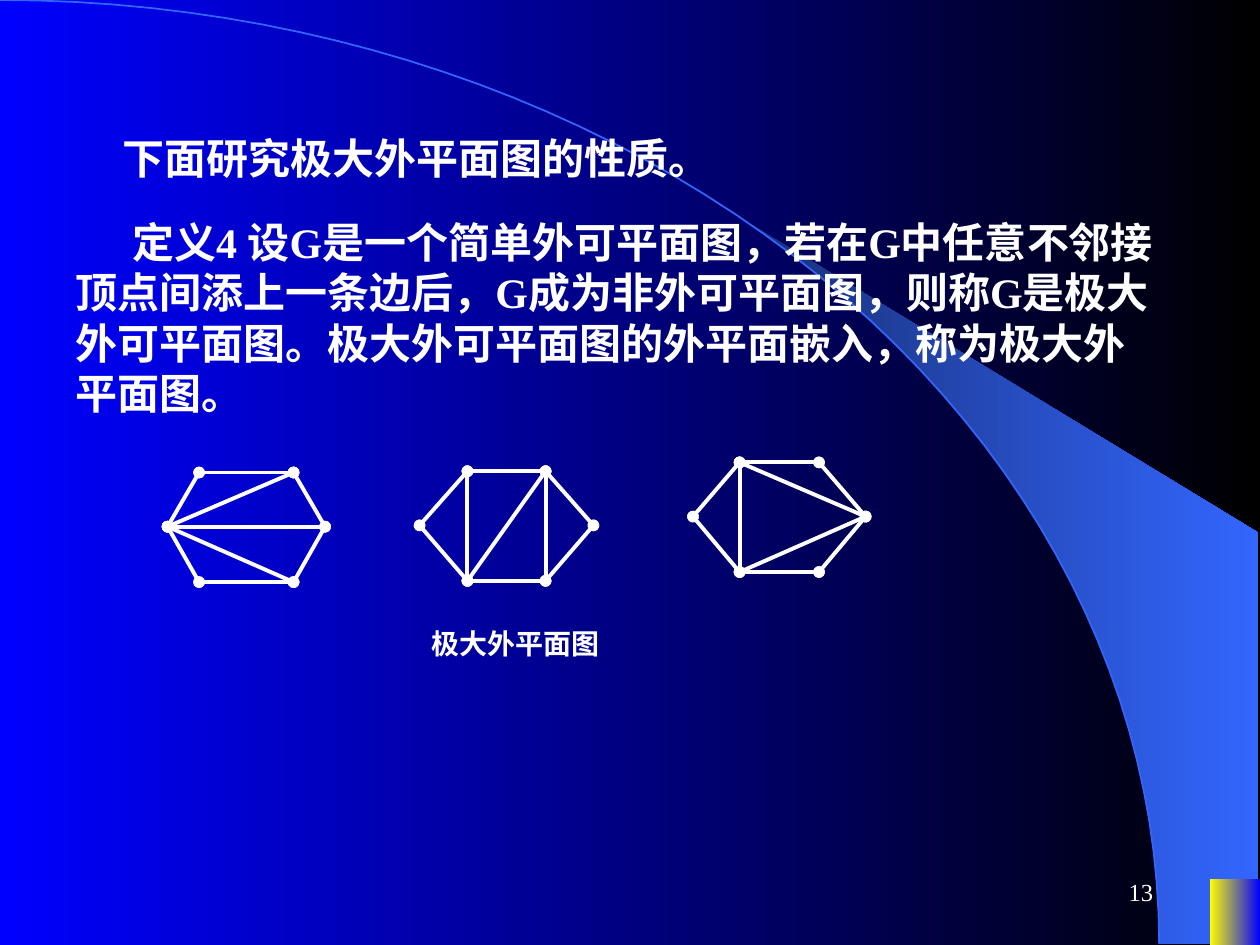
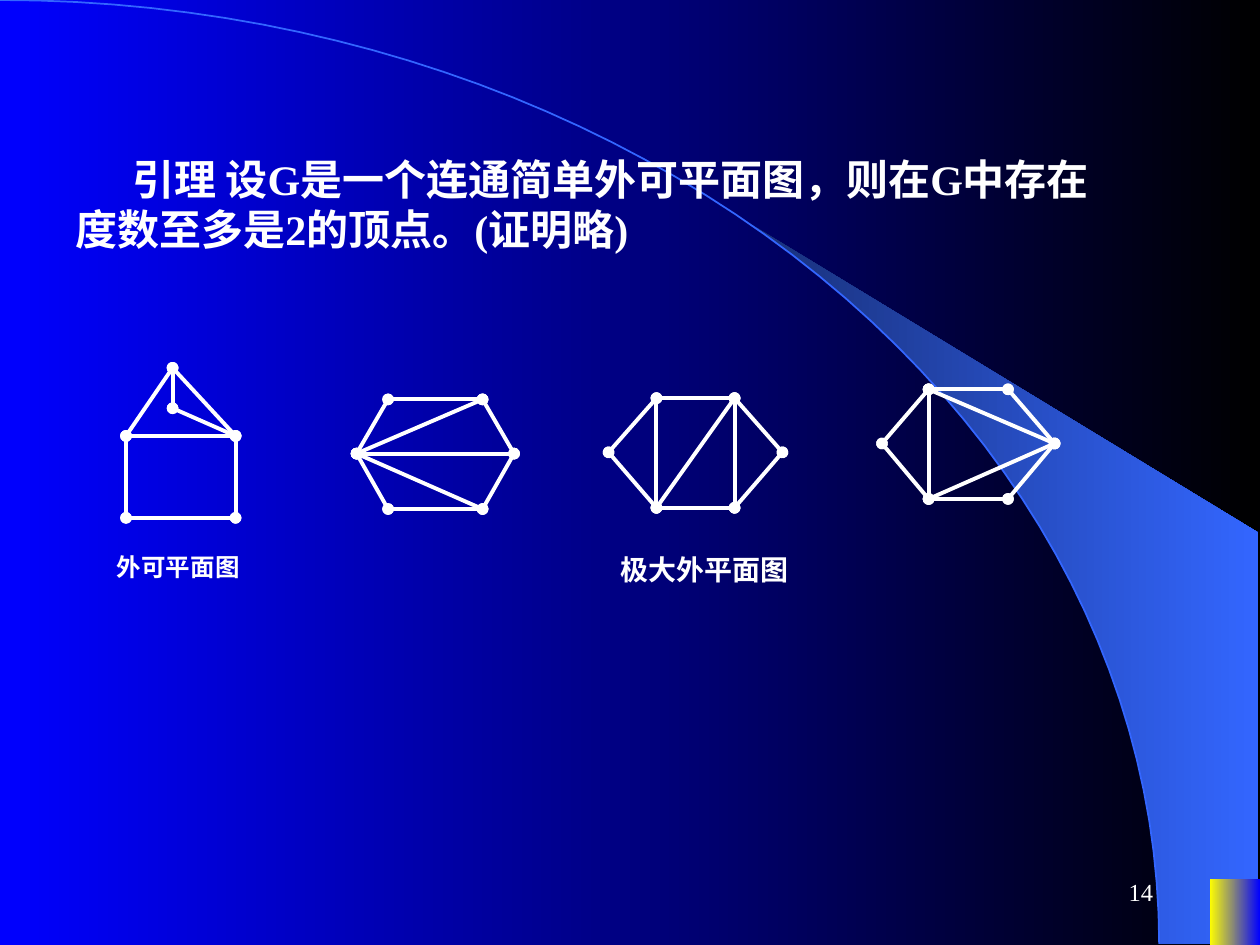
"""Build two slides on maximal outerplanar graphs."""
from dataclasses import dataclass
from math import asin, cos, pi, sin

from lxml import etree
from pptx import Presentation
from pptx.dml.color import RGBColor
from pptx.enum.shapes import MSO_CONNECTOR, MSO_SHAPE
from pptx.enum.text import MSO_ANCHOR, PP_ALIGN
from pptx.oxml.ns import qn
from pptx.util import Inches, Pt

STRAIGHT = MSO_CONNECTOR.STRAIGHT
RECT = MSO_SHAPE.RECTANGLE
MIDDLE = MSO_ANCHOR.MIDDLE
TOP = MSO_ANCHOR.TOP
LEFT = PP_ALIGN.LEFT
RIGHT = PP_ALIGN.RIGHT
BLANK = 6

ARC_W, ARC_H, ARC_STEPS = 9.2, 7.49, 48
SHEEN_START = asin(5.89 / ARC_W)
SHEEN_CORNERS = [(9.99, ARC_H), (9.99, 4.23)]

HEXAGON_RING = [("L", "TL"), ("TL", "TR"), ("TR", "R"), ("R", "BR"), ("BR", "BL"), ("BL", "L")]
MAXIMAL_GRAPHS = [
    (0, 0.08, 0.25, [("L", "TR"), ("L", "R"), ("L", "BR")]),
    (2, 0.07, 0.38, [("TL", "BL"), ("TR", "BR"), ("TR", "BL")]),
    (4.17, 0, 0.37, [("TL", "BL"), ("TL", "R"), ("R", "BL")]),
]
HOUSE_POINTS = {
    "roof": (1.37, 2.92), "inner": (1.37, 3.24), "TL": (1, 3.46),
    "TR": (1.87, 3.46), "BL": (1, 4.11), "BR": (1.87, 4.11),
}
HOUSE_EDGES = [
    ("roof", "TL"), ("TL", "TR"), ("BL", "BR"), ("TL", "BL"), ("TR", "BR"),
    ("roof", "TR"), ("roof", "inner"), ("inner", "TR"),
]


@dataclass(frozen=True)
class Theme:
    """Colours, font and sizes shared by the slides."""

    backdrop: tuple = ("0000FF", "000000")
    sheen: tuple = ("182F76", "3366FF")
    badge: tuple = ("FFFF00", "0000FF")
    arc: str = "3366FF"
    ink: str = "FFFFFF"
    font: str = "Times New Roman"
    body: int = 24
    caption: int = 16
    small: int = 14
    space_before: int = 15
    indent: float = 0.45
    arc_width: float = 1
    edge_width: float = 2.25


def arc_points(start):
    """Return points along the quarter ellipse from an angle to its end."""
    angles = [start + (pi / 2 - start) * i / ARC_STEPS for i in range(ARC_STEPS + 1)]
    return [(ARC_W * sin(a), ARC_H * (1 - cos(a))) for a in angles]


class Deck:
    """Hold the theme, the presentation and the current slide."""

    def __init__(self, theme):
        """Start an empty presentation."""
        self.theme = theme
        self.prs = Presentation()
        self.prs.slide_width, self.prs.slide_height = Inches(10), Inches(7.5)
        self.s = None

    def slide(self, number):
        """Add a slide with the shared backdrop and its number."""
        t = self.theme
        self.s = self.prs.slides.add_slide(self.prs.slide_layouts[BLANK])
        self.gradient(self.s.background.fill, t.backdrop)
        sheen = self.outline(arc_points(SHEEN_START) + SHEEN_CORNERS, True)
        self.gradient(sheen.fill, t.sheen)
        sheen.line.fill.background()
        arc = self.outline(arc_points(0), False)
        arc.fill.background()
        self.stroke(arc.line, t.arc, t.arc_width)
        badge = self.s.shapes.add_shape(RECT, *map(Inches, (9.6, 6.98, 0.4, 0.52)))
        badge.shadow.inherit = False
        self.gradient(badge.fill, t.badge)
        badge.line.fill.background()
        self.text(str(number), (7.17, 6.83, 2.08, 0.5), t.small, bold=False, align=RIGHT, anchor=MIDDLE)

    def gradient(self, fill, colors):
        """Fill with a left to right gradient."""
        fill.gradient()
        fill.gradient_angle = 0
        for position, (stop, color) in enumerate(zip(fill.gradient_stops, colors)):
            stop.position = position
            stop.color.rgb = RGBColor.from_string(color)

    def stroke(self, line, color, width):
        """Set the colour and width of a line."""
        line.color.rgb = RGBColor.from_string(color)
        line.width = Pt(width)

    def outline(self, points, close):
        """Add a freeform through points given in inches."""
        start, *rest = [(Inches(x), Inches(y)) for x, y in points]
        builder = self.s.shapes.build_freeform(*start)
        builder.add_line_segments(rest, close=close)
        sp = builder.convert_to_shape()
        sp.shadow.inherit = False
        return sp

    def text(self, words, box, size, bold=True, align=LEFT, anchor=TOP, before=0, indent=0):
        """Add a wrapped one-paragraph text box."""
        tf = self.s.shapes.add_textbox(*map(Inches, box)).text_frame
        p = tf.paragraphs[0]
        r = p.add_run()
        r.text = words
        formats = {
            tf: {"word_wrap": True, "vertical_anchor": anchor},
            p: {"alignment": align, "space_before": Pt(before)},
            r.font: {"name": self.theme.font, "size": Pt(size), "bold": bold},
        }
        for target, values in formats.items():
            for name, value in values.items():
                setattr(target, name, value)
        r.font.color.rgb = RGBColor.from_string(self.theme.ink)
        p._p.get_or_add_pPr().set("indent", str(Inches(indent)))

    def body(self, words, box):
        """Add a bold paragraph with an indented first line."""
        t = self.theme
        self.text(words, box, t.body, before=t.space_before, indent=t.indent)

    def edge(self, start, end):
        """Join two points by a line with a round vertex at each end."""
        cx = self.s.shapes.add_connector(STRAIGHT, *map(Inches, (*start, *end)))
        self.stroke(cx.line, self.theme.ink, self.theme.edge_width)
        ln = cx.line._get_or_add_ln()
        for tag in ("a:headEnd", "a:tailEnd"):
            etree.SubElement(ln, qn(tag), type="oval")
        etree.SubElement(cx._element.spPr, qn("a:effectLst"))

    def graph(self, points, edges):
        """Draw the edges between named points."""
        for a, b in edges:
            self.edge(points[a], points[b])

    def hexagon(self, x, y, inset, chords):
        """Draw a hexagon with chords from its top left corner."""
        right, middle, bottom = x + 1, y + 0.43, y + 0.87
        points = {
            "L": (x, middle), "TL": (x + inset, y), "TR": (right, y),
            "R": (right + inset, middle), "BR": (right, bottom), "BL": (x + inset, bottom),
        }
        self.graph(points, HEXAGON_RING + chords)

    def maximal_graphs(self, x, y):
        """Draw the three maximal outerplanar graphs and their caption."""
        for dx, dy, inset, chords in MAXIMAL_GRAPHS:
            self.hexagon(x + dx, y + dy, inset, chords)
        self.text("极大外平面图", (x + 2, y + 1.25, 2.27, 0.37), self.theme.caption)


def main():
    """Build and save the slides."""
    deck = Deck(Theme())

    deck.slide(13)
    deck.body("下面研究极大外平面图的性质。", (0.42, 1, 8.75, 0.5))
    deck.body(
        "定义4 设G是一个简单外可平面图，若在G中任意不邻接顶点间添上一条边后，"
        "G成为非外可平面图，则称G是极大外可平面图。"
        "极大外可平面图的外平面嵌入，称为极大外平面图。",
        (0.5, 1.67, 8.75, 1.7),
    )
    deck.maximal_graphs(1.33, 3.67)

    deck.slide(14)
    deck.body(
        "引理 设G是一个连通简单外可平面图，则在G中存在度数至多是2的顶点。(证明略)",
        (0.5, 1.17, 8.33, 0.9),
    )
    deck.graph(HOUSE_POINTS, HOUSE_EDGES)
    deck.text("外可平面图", (0.83, 4.33, 1.33, 0.34), deck.theme.small)
    deck.maximal_graphs(2.83, 3.09)

    deck.prs.save("out.pptx")


if __name__ == "__main__":
    main()
